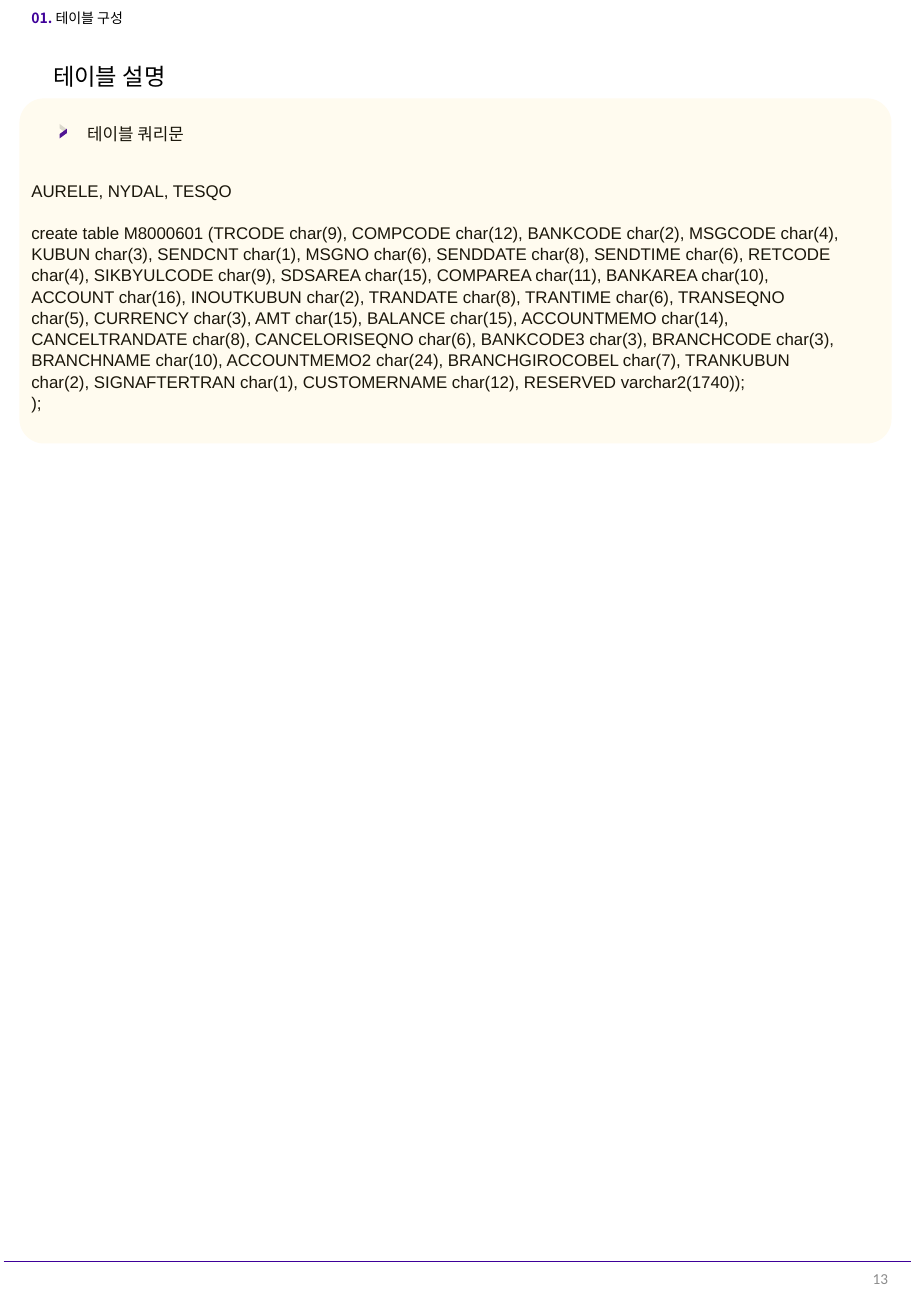
"""Build the table description page with its query statement."""
from lxml import etree
from pptx import Presentation
from pptx.dml.color import RGBColor
from pptx.enum import shapes, text
from pptx.oxml import ns
from pptx.util import Inches, Pt

PURPLE, BLACK, GRAY, SILVER, GOLD = "3E0099", "000000", "8C8C8C", "D9D9D9", "FFD966"
KOREAN = "Noto Sans CJK KR"
COLUMNS = (
    "TRCODE char(9), COMPCODE char(12), BANKCODE char(2), MSGCODE char(4), "
    "KUBUN char(3), SENDCNT char(1), MSGNO char(6), SENDDATE char(8), "
    "SENDTIME char(6), RETCODE char(4), SIKBYULCODE char(9), SDSAREA char(15), "
    "COMPAREA char(11), BANKAREA char(10), ACCOUNT char(16), INOUTKUBUN char(2), "
    "TRANDATE char(8), TRANTIME char(6), TRANSEQNO char(5), CURRENCY char(3), "
    "AMT char(15), BALANCE char(15), ACCOUNTMEMO char(14), CANCELTRANDATE char(8), "
    "CANCELORISEQNO char(6), BANKCODE3 char(3), BRANCHCODE char(3), "
    "BRANCHNAME char(10), ACCOUNTMEMO2 char(24), BRANCHGIROCOBEL char(7), "
    "TRANKUBUN char(2), SIGNAFTERTRAN char(1), CUSTOMERNAME char(12), "
    "RESERVED varchar2(1740)"
)

HEADING = {"size": 13.8, "name": KOREAN, "color": BLACK}
CHAPTER = {"size": 8.3, "name": KOREAN, "color": BLACK}
NUMBER = {**CHAPTER, "color": PURPLE, "bold": True}
BODY = {"size": 10, "name": "Arial", "color": BLACK}
FOLIO = {"size": 9, "name": "Calibri", "color": GRAY}

TITLE = ((0.28, 0.42, 1.24, 0.35), {"word_wrap": False},
         [([("테이블 설명", HEADING)],
           {"alignment": text.PP_ALIGN.CENTER, "line_spacing": 1.2})])
TEXTS = [
    ((0.16, 0.03, 1.03, 0.24), {"word_wrap": False},
     [([("01. ", NUMBER), ("테이블 구성", CHAPTER)], {})]),
    ((5.33, 10.38, 2.08, 0.28), {"vertical_anchor": text.MSO_ANCHOR.MIDDLE},
     [([("13", FOLIO)], {"alignment": text.PP_ALIGN.RIGHT})]),
    ((0.62, 0.97, 3.13, 0.27), {}, [([("테이블 쿼리문", BODY)], {})]),
    ((0.16, 1.43, 6.84, 1.95), {"margin_right": Inches(0.05)},
     [([("AURELE, NYDAL, TESQO", BODY)], {"line_spacing": 1.05, "space_after": Pt(12)}),
      ([(f"create table M8000601 ({COLUMNS});", BODY)], {"line_spacing": 1.05}),
      ([(");", BODY)], {"line_spacing": 1.05})]),
]
MARKER = [((0.48, 1.03, 0.08, 0.06), 90, False, SILVER),
          ((0.48, 1.07, 0.08, 0.06), 270, True, PURPLE)]
PANEL = (0.16, 0.81, 7.18, 2.84)
FOOTER_Y = 10.38


def rgb(value):
    return RGBColor.from_string(value)


def inches(values):
    return [Inches(value) for value in values]


def apply(target, formats):
    for name, value in formats.items():
        setattr(target, name, value)


def write(box, frame_format, paragraphs):
    frame = box.text_frame
    apply(frame, {"auto_size": text.MSO_AUTO_SIZE.NONE, "word_wrap": True,
                  "vertical_anchor": text.MSO_ANCHOR.TOP, **frame_format})
    for index, (runs, para_format) in enumerate(paragraphs):
        para = frame.add_paragraph() if index else frame.paragraphs[0]
        apply(para, para_format)
        for words, style in runs:
            span = para.add_run()
            span.text = words
            apply(span.font, {"size": Pt(style["size"]), "name": style["name"],
                              "bold": style.get("bold", False)})
            span.font.color.rgb = rgb(style["color"])
            east = etree.SubElement(span.font._element, ns.qn("a:ea"))
            east.set("typeface", KOREAN)


def add_plain(parent, kind, place, adjust, color):
    shape = parent.add_shape(kind, *inches(place))
    shape.adjustments[0] = adjust
    shape.shadow.inherit = False
    shape.fill.solid()
    shape.fill.fore_color.rgb = rgb(color)
    shape.line.fill.background()
    return shape


def main():
    deck = Presentation()
    apply(deck, {"slide_width": Inches(7.5), "slide_height": Inches(10.83)})
    page = deck.slides.add_slide(deck.slide_layouts[5])

    place, frame_format, paragraphs = TITLE
    title = page.shapes.title
    apply(title, dict(zip(("left", "top", "width", "height"), inches(place))))
    write(title, frame_format, paragraphs)

    for place, frame_format, paragraphs in TEXTS:
        write(page.shapes.add_textbox(*inches(place)), frame_format, paragraphs)

    rule = page.shapes.add_connector(
        shapes.MSO_CONNECTOR.STRAIGHT, *inches((0.03, FOOTER_Y, 7.5, FOOTER_Y)))
    rule.line.color.rgb = rgb(PURPLE)
    rule.line.width = Pt(0.5)
    etree.SubElement(rule._element.spPr, ns.qn("a:effectLst"))

    marker = page.shapes.add_group_shape()
    for place, turn, flipped, color in MARKER:
        half = add_plain(marker.shapes, shapes.MSO_SHAPE.PARALLELOGRAM, place, 0.742, color)
        half.rotation = turn
        if flipped:
            half._element.spPr.xfrm.set("flipV", "1")

    panel = add_plain(page.shapes, shapes.MSO_SHAPE.ROUNDED_RECTANGLE, PANEL, 0.071, GOLD)
    tint = panel._element.spPr.find(".//" + ns.qn("a:srgbClr"))
    etree.SubElement(tint, ns.qn("a:alpha")).set("val", "10000")

    deck.save("out.pptx")


if __name__ == "__main__":
    main()
